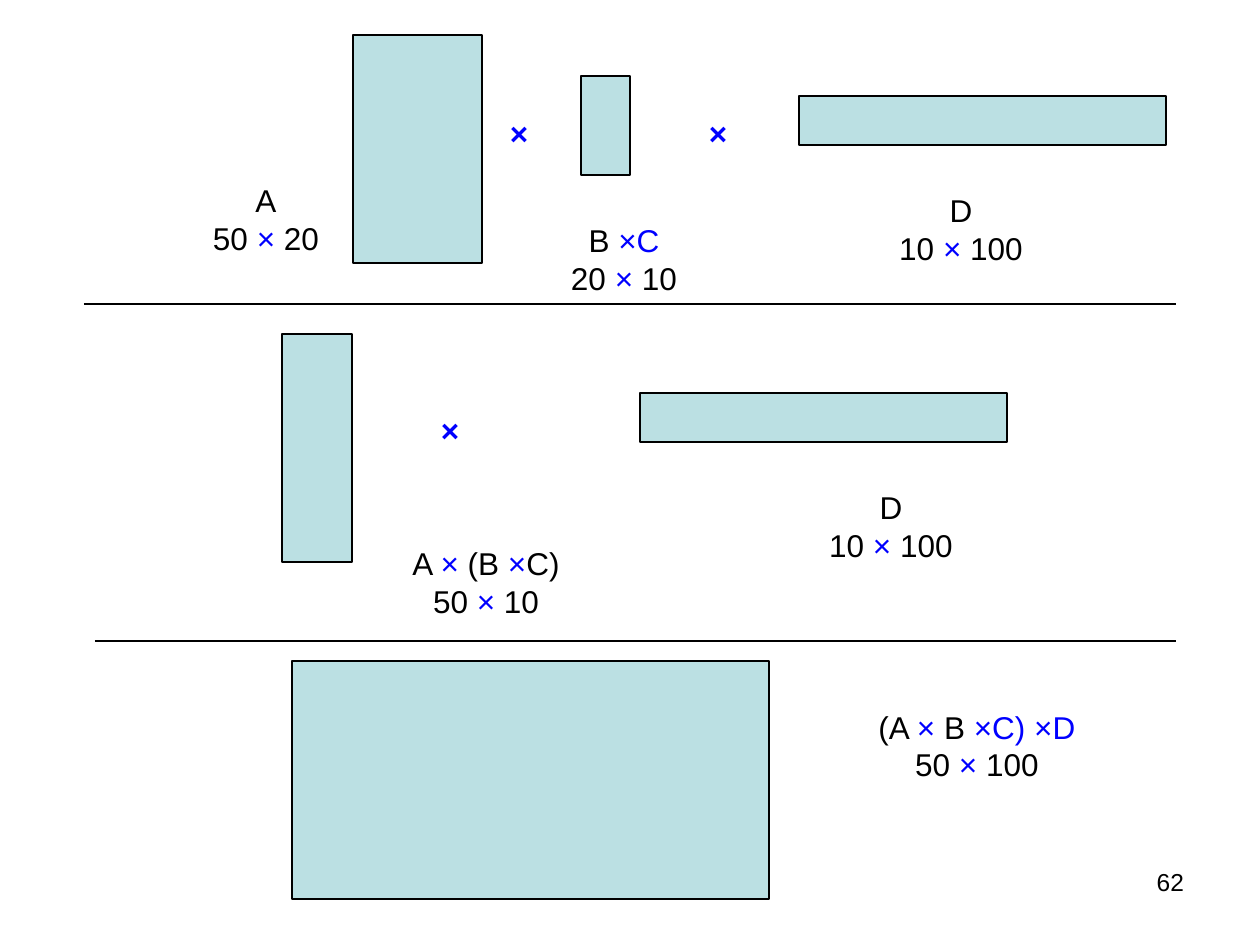
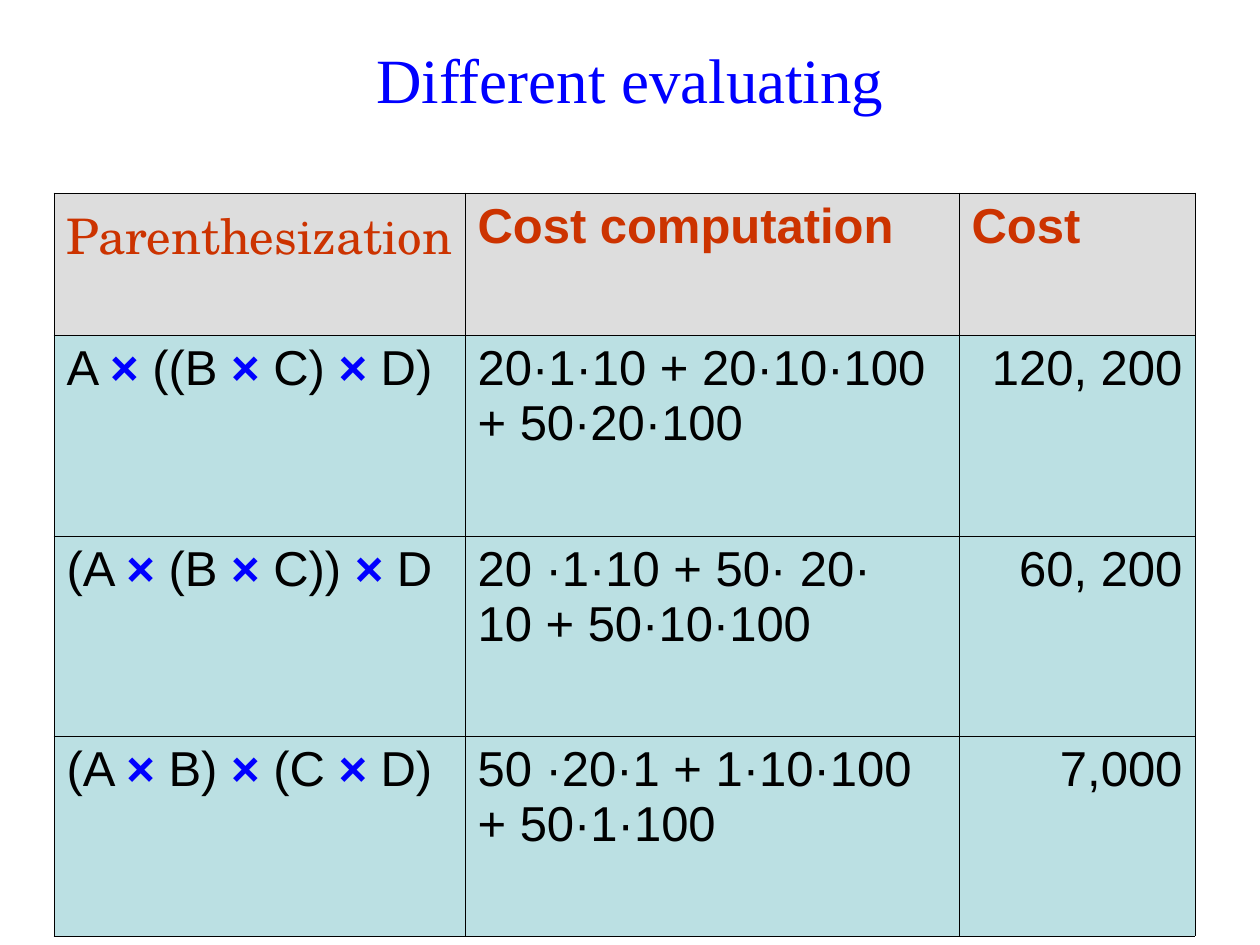
from dataclasses import dataclass

from lxml import etree
from pptx import Presentation
from pptx.dml.color import RGBColor
from pptx.enum.shapes import MSO_CONNECTOR, MSO_SHAPE
from pptx.enum.text import MSO_ANCHOR, MSO_AUTO_SIZE, PP_ALIGN
from pptx.oxml.ns import qn
from pptx.util import Emu, Pt

RECTANGLE = MSO_SHAPE.RECTANGLE
STRAIGHT = MSO_CONNECTOR.STRAIGHT
TOP, MIDDLE = MSO_ANCHOR.TOP, MSO_ANCHOR.MIDDLE
LEFT, CENTER, RIGHT = PP_ALIGN.LEFT, PP_ALIGN.CENTER, PP_ALIGN.RIGHT
NO_AUTOFIT = MSO_AUTO_SIZE.NONE

EMU_PER_PX = 914400 / 126
SLIDE_W, SLIDE_H = 1260, 945


@dataclass(frozen=True)
class Theme:
    ink: str = "000000"
    accent: str = "0000FF"
    matrix: str = "BBE0E3"
    header_fill: str = "DDDDDD"
    header_text: str = "CC3300"
    body_font: str = "Arial"
    title_font: str = "Times New Roman"
    header_font: str = "TeX Gyre Schola"
    title_size: int = 36
    table_size: int = 28
    label_size: int = 18
    number_size: int = 14
    line: float = 0.74
    grid: float = 0.45


THEME = Theme()

# Text between bars takes the accent colour.
# Each stage: box, matrices, labels (left, top, width, height), signs (centre).
STAGES = [
    dict(box=(0, 0),
         matrices=[(353, 35, 129, 228), (581, 76, 49, 99), (799, 96, 367, 49)],
         labels=[((203, 156, 126, 126), ["A", "50 |×| 20"]),
                 ((561, 196, 126, 126), ["B |×C|", "20 |×| 10"]),
                 ((898, 166, 126, 126), ["D", "10 |×| 100"])],
         signs=[(519, 133), (718, 133)]),
    dict(box=(0, 304),
         matrices=[(282, 30, 70, 228), (640, 89, 367, 49)],
         labels=[((382, 219, 208, 118), ["A |×| (B |×|C)", "50 |×| 10"]),
                 ((828, 159, 126, 126), ["D", "10 |×| 100"])],
         signs=[(450, 126)]),
    dict(box=(0, 641),
         matrices=[(292, 20, 477, 238)],
         labels=[((818, 30, 318, 149), ["(A |×| B |×C) ×D|", "50 |×| 100"])],
         signs=[]),
]
DIVIDERS = [(84, 304, 1176), (95, 641, 1176)]

HEADINGS = ["Parenthesization", "Cost computation", "Cost"]
ORDERS = [
    ("A |×| ((B |×| C) |×| D)", "20·1·10 + 20·10·100 + 50·20·100", "120, 200"),
    ("(A |×| (B |×| C)) |×| D", "20 ·1·10 + 50· 20·\n10 + 50·10·100", "60, 200"),
    ("(A |×| B) |×| (C |×| D)", "50 ·20·1 + 1·10·100 + 50·1·100", "7,000"),
]
COLUMN_WIDTHS = [411, 494, 236]
ROW_HEIGHTS = [142, 201, 200, 200]


def px(*lengths):
    return [Emu(round(length * EMU_PER_PX)) for length in lengths]


def rgb(code):
    return RGBColor.from_string(code)


def write(frame, lines, size=THEME.label_size, font=THEME.body_font, color=THEME.ink,
          bold=False, accent_bold=False, align=LEFT, space_before=0):
    for i, line in enumerate(lines):
        paragraph = frame.add_paragraph() if i else frame.paragraphs[0]
        paragraph.alignment = align
        paragraph.space_before = Pt(space_before)
        for j, piece in enumerate(line.split("|")):
            accented = j % 2 == 1
            for k, part in enumerate(piece.split("\n")):
                if k:
                    paragraph.add_line_break()
                if not part:
                    continue
                run = paragraph.add_run()
                run.text = part
                run.font.size = Pt(size)
                run.font.name = font
                run.font.bold = accent_bold if accented else bold
                run.font.color.rgb = rgb(THEME.accent if accented else color)


def add_text(slide, box, lines, anchor=MIDDLE, wrap=False, side_inset=0, **text_format):
    frame = slide.shapes.add_textbox(*px(*box)).text_frame
    frame.word_wrap = wrap
    frame.vertical_anchor = anchor
    frame.margin_left, frame.margin_right = px(side_inset, side_inset)
    write(frame, lines, **text_format)


def add_matrix(slide, box):
    matrix = slide.shapes.add_shape(RECTANGLE, *px(*box))
    matrix.shadow.inherit = False
    matrix.fill.solid()
    matrix.fill.fore_color.rgb = rgb(THEME.matrix)
    matrix.line.color.rgb = rgb(THEME.ink)
    matrix.line.width = Pt(THEME.line)


def add_divider(slide, left, y, right):
    divider = slide.shapes.add_connector(STRAIGHT, *px(left, y, right, y))
    divider.line.color.rgb = rgb(THEME.ink)
    divider.line.width = Pt(THEME.line)
    etree.SubElement(divider._element.spPr, qn("a:effectLst"))


def add_stage(slide, box, matrices, labels, signs):
    """Draw one step of the product, offset from the corner of its box."""
    left, top = box
    for x, y, width, height in matrices:
        add_matrix(slide, (left + x, top + y, width, height))
    for (x, y, width, height), lines in labels:
        add_text(slide, (left + x, top + y, width, height), lines, align=CENTER)
    for x, y in signs:
        add_text(slide, (left + x - 53, top + y - 24, 106, 48), ["×"],
                 color=THEME.accent, bold=True, align=CENTER)


def build_product_slide(deck):
    slide = deck.slides.add_slide(deck.slide_layouts[6])
    add_text(slide, (903, 861, 294, 66), ["62"], anchor=TOP, wrap=True,
             side_inset=13, size=THEME.number_size, align=RIGHT)
    for stage in STAGES:
        add_stage(slide, **stage)
    for divider in DIVIDERS:
        add_divider(slide, *divider)


def set_borders(cell):
    properties = cell._tc.get_or_add_tcPr()
    for side in "LRTB":
        border = etree.SubElement(properties, qn(f"a:ln{side}"), w=str(Pt(THEME.grid)))
        fill = etree.SubElement(border, qn("a:solidFill"))
        etree.SubElement(fill, qn("a:srgbClr"), val=THEME.ink)


def format_cell(cell, text, fill, **text_format):
    set_borders(cell)
    cell.fill.solid()
    cell.fill.fore_color.rgb = rgb(fill)
    write(cell.text_frame, [text], size=THEME.table_size, space_before=7, **text_format)


def add_cost_table(slide, left, top):
    costs = slide.shapes.add_table(
        len(ROW_HEIGHTS), len(COLUMN_WIDTHS),
        *px(left, top, sum(COLUMN_WIDTHS), sum(ROW_HEIGHTS))).table
    costs.first_row = costs.horz_banding = False
    for column, width in zip(costs.columns, px(*COLUMN_WIDTHS)):
        column.width = width
    for row, height in zip(costs.rows, px(*ROW_HEIGHTS)):
        row.height = height

    for c, heading in enumerate(HEADINGS):
        format_cell(costs.cell(0, c), heading, THEME.header_fill,
                    font=THEME.body_font if c else THEME.header_font,
                    color=THEME.header_text, bold=c > 0)
    for r, order in enumerate(ORDERS, start=1):
        for c, text in enumerate(order):
            format_cell(costs.cell(r, c), text, THEME.matrix,
                        accent_bold=True, align=RIGHT if c == 2 else LEFT)


def build_cost_slide(deck):
    slide = deck.slides.add_slide(deck.slide_layouts[5])
    title = slide.shapes.title
    title.left, title.top, title.width, title.height = px(63, 34, 1134, 158)
    title.text_frame.auto_size = NO_AUTOFIT
    title.text_frame.vertical_anchor = TOP
    write(title.text_frame, ["Different evaluating"], size=THEME.title_size,
          font=THEME.title_font, color=THEME.accent, align=CENTER)
    add_cost_table(slide, 54, 193)


def main():
    deck = Presentation()
    deck.slide_width, deck.slide_height = px(SLIDE_W, SLIDE_H)
    build_product_slide(deck)
    build_cost_slide(deck)
    deck.save("out.pptx")


if __name__ == "__main__":
    main()
